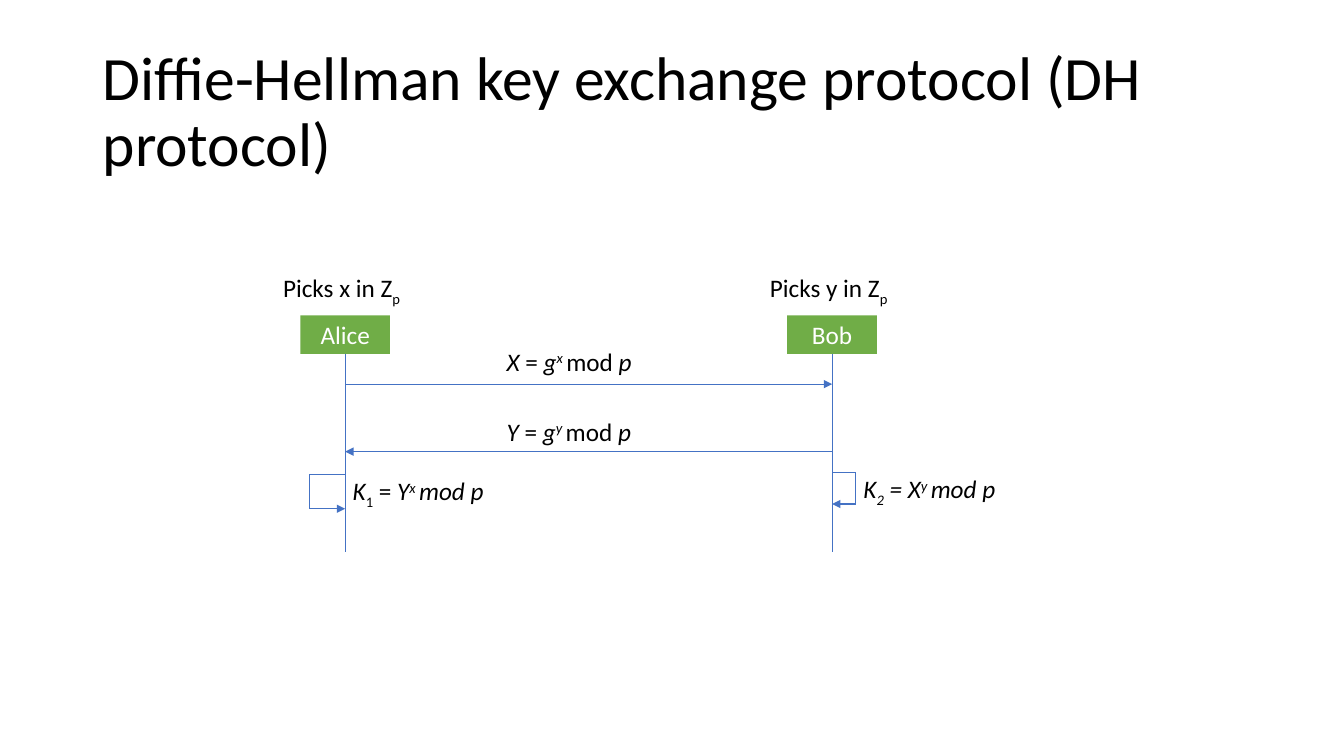
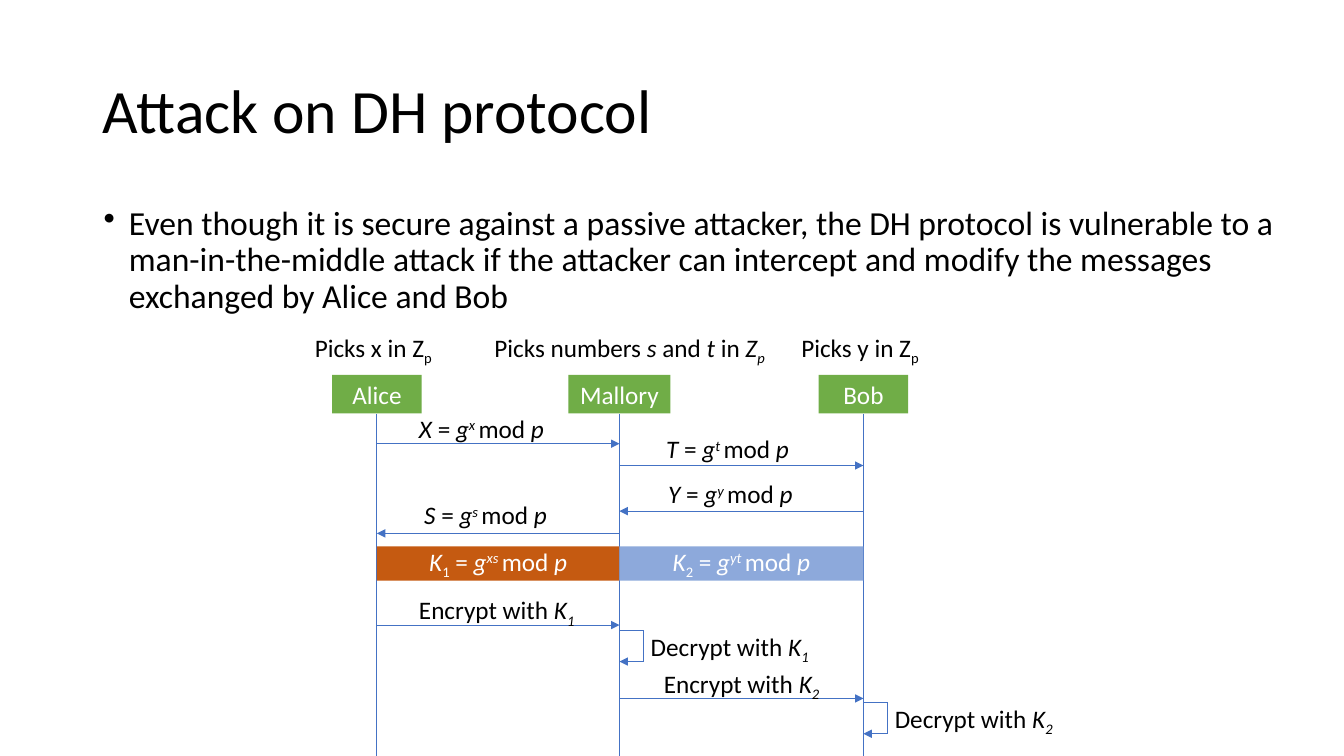
"""Build two slides on the Diffie-Hellman key exchange and an attack on it."""
from lxml import etree
from pptx import Presentation
from pptx.dml.color import RGBColor
from pptx.enum.shapes import MSO_CONNECTOR, MSO_SHAPE
from pptx.enum.text import MSO_ANCHOR, PP_ALIGN
from pptx.oxml.ns import qn
from pptx.util import Cm, Pt

STRAIGHT = MSO_CONNECTOR.STRAIGHT
RECTANGLE = MSO_SHAPE.RECTANGLE
MIDDLE, TOP = MSO_ANCHOR.MIDDLE, MSO_ANCHOR.TOP
LEFT, CENTER = PP_ALIGN.LEFT, PP_ALIGN.CENTER

BLACK = RGBColor(0x00, 0x00, 0x00)
WHITE = RGBColor(0xFF, 0xFF, 0xFF)
GREEN = RGBColor(0x70, 0xAD, 0x47)
BLUE = RGBColor(0x44, 0x72, 0xC4)
ORANGE = RGBColor(0xC5, 0x5A, 0x11)
LIGHT_BLUE = RGBColor(0x8D, 0xA9, 0xDB)

FONT = "Calibri"
SLIDE_WIDTH, SLIDE_HEIGHT = 33.87, 19.05
ACTOR_HEIGHT, KEY_HEIGHT, LABEL_HEIGHT = 0.97, 0.86, 1.02
PICK_WIDTH, FORMULA_WIDTH, ACTION_WIDTH = 3.63, 4.06, 4.6

PLAIN, ITALIC = (False, 0), (True, 0)
SUPER = (True, 30000)
SUB, ITALIC_SUB = (False, -25000), (True, -25000)


def power(base, exponent):
    """Return the runs of a power modulo p."""
    return [(base, ITALIC), (exponent + " ", SUPER), ("mod ", PLAIN), ("p", ITALIC)]


def public_value(name, exponent):
    """Return the runs of a public value formula."""
    return [(name + " ", ITALIC), ("= ", PLAIN), *power("g", exponent)]


def shared_key(index, exponent):
    """Return the runs of a shared key formula."""
    return [("K", ITALIC), (index, SUB), (" = ", PLAIN), *power("g", exponent)]


def pick(variable):
    """Return the runs that name a party's secret."""
    return [(f"Picks {variable} in Z", PLAIN), ("p", SUB)]


def cipher_step(action, index):
    """Return the runs of an encryption or decryption step."""
    return [(action + " with ", PLAIN), ("K", ITALIC), (index, ITALIC_SUB)]


def write(shape, runs, size=18, color=BLACK, align=LEFT, anchor=TOP):
    """Fill a shape with one styled paragraph and return it."""
    frame = shape.text_frame
    frame.word_wrap = True
    frame.vertical_anchor = anchor
    paragraph = frame.paragraphs[0]
    paragraph.alignment = align
    paragraph.font.name = FONT
    paragraph.font.size = Pt(size)
    paragraph.font.color.rgb = color
    for text, (italic, baseline) in runs:
        run = paragraph.add_run()
        run.text = text
        if italic:
            run.font.italic = True
        if baseline:
            run.font._element.set("baseline", str(baseline))
    return paragraph


def add_label(slide, left, top, width, runs, height=LABEL_HEIGHT, **style):
    """Add a text box and return its paragraph."""
    box = slide.shapes.add_textbox(Cm(left), Cm(top), Cm(width), Cm(height))
    return write(box, runs, **style)


def add_title(slide, text):
    """Add the slide title."""
    title = add_label(slide, 2.34, 1.02, 29.21, [(text, PLAIN)], height=3.68,
                      size=44, anchor=MIDDLE)
    title.line_spacing = 0.9


def add_bullet(slide, text):
    """Add the bulleted statement below the title."""
    statement = add_label(slide, 2.36, 5.08, 30.4, [(text, PLAIN)], height=3.58, size=24)
    statement.line_spacing = 0.9
    properties = statement._p.get_or_add_pPr()
    properties.set("marL", str(Cm(0.64)))
    properties.set("indent", str(-Cm(0.64)))
    bullet = etree.Element(qn("a:buChar"), char="•")
    properties.find(qn("a:defRPr")).addprevious(bullet)


def add_block(slide, left, top, width, height, fill, runs):
    """Add a filled rectangle with centred white text."""
    block = slide.shapes.add_shape(RECTANGLE, Cm(left), Cm(top), Cm(width), Cm(height))
    block.shadow.inherit = False
    block.fill.solid()
    block.fill.fore_color.rgb = fill
    block.line.fill.background()
    write(block, runs, color=WHITE, align=CENTER, anchor=MIDDLE)


def add_line(slide, start, end, arrow=False):
    """Add a straight line, with an arrowhead at its end if asked."""
    line = slide.shapes.add_connector(STRAIGHT, *(Cm(value) for value in (*start, *end)))
    line.line.color.rgb = BLUE
    line.line.width = Pt(0.75)
    if arrow:
        etree.SubElement(line.line._get_or_add_ln(), qn("a:tailEnd"), type="triangle")
    etree.SubElement(line._element.spPr, qn("a:effectLst"))


def add_actor(slide, name, center, top, bottom, secret, width=2.26,
              secret_width=PICK_WIDTH, secret_shift=0):
    """Add a party with its secret above and its lifeline below."""
    add_block(slide, center - width / 2, top, width, ACTOR_HEIGHT, GREEN, [(name, PLAIN)])
    add_label(slide, center - secret_width / 2 + secret_shift, top - 1.2, secret_width, secret)
    add_line(slide, (center, top + ACTOR_HEIGHT), (center, bottom))


def add_message(slide, sender, receiver, y, runs, label_left, label_top, width=FORMULA_WIDTH):
    """Add an arrow between two lifelines with its label."""
    add_line(slide, (sender, y), (receiver, y), arrow=True)
    add_label(slide, label_left, label_top, width, runs)


def add_self_step(slide, lifeline, top, runs, reach=0.6, height=0.79, width=ACTION_WIDTH):
    """Add a loop back to one lifeline with its label on the right."""
    far, bottom = lifeline + reach, top + height
    add_line(slide, (lifeline, top), (far, top))
    add_line(slide, (far, top), (far, bottom))
    add_line(slide, (far, bottom), (lifeline, bottom), arrow=True)
    add_label(slide, max(lifeline, far) - 0.06, top - 0.1, width, runs)


def build_exchange(slide):
    """Draw the key exchange between two honest parties."""
    alice, bob = 8.7, 20.97
    add_title(slide, "Diffie-Hellman key exchange protocol (DH protocol)")
    for name, center, variable in (("Alice", alice, "x"), ("Bob", bob, "y")):
        add_actor(slide, name, center, 7.95, 13.92, pick(variable))
    add_message(slide, alice, bob, 9.68, public_value("X", "x"), 12.52, 8.59)
    add_message(slide, bob, alice, 11.38, public_value("Y", "y"), 12.52, 10.36)
    alice_key = [("K", ITALIC), ("1", SUB), (" = ", PLAIN), ("Y", ITALIC),
                 ("x ", SUPER), ("mod p", ITALIC)]
    bob_key = [("K", ITALIC), ("2", ITALIC_SUB), (" = X", ITALIC),
               ("y ", SUPER), ("mod p", ITALIC)]
    add_self_step(slide, alice, 11.96, alice_key, reach=-0.9, height=0.86, width=FORMULA_WIDTH)
    add_self_step(slide, bob, 11.91, bob_key, width=FORMULA_WIDTH)


def build_attack(slide):
    """Draw the man-in-the-middle attack."""
    alice, mallory, bob = 9.5, 15.61, 21.76
    add_title(slide, "Attack on DH protocol")
    add_bullet(slide, "Even though it is secure against a passive attacker, the DH protocol is "
                      "vulnerable to a man-in-the-middle attack if the attacker can intercept "
                      "and modify the messages exchanged by Alice and Bob")
    mallory_secret = [("Picks numbers ", PLAIN), ("s ", ITALIC), ("and ", PLAIN), ("t ", ITALIC),
                      ("in ", PLAIN), ("Z", ITALIC), ("p", ITALIC_SUB)]
    head_top = 9.45
    add_actor(slide, "Alice", alice, head_top, SLIDE_HEIGHT, pick("x"))
    add_actor(slide, "Mallory", mallory, head_top, SLIDE_HEIGHT, mallory_secret,
              width=2.57, secret_width=7.5, secret_shift=0.35)
    add_actor(slide, "Bob", bob, head_top, SLIDE_HEIGHT, pick("y"))

    for sender, receiver, y, name, exponent, label_left, label_top in (
        (alice, mallory, 11.18, "X", "x", 10.31, 10.29),
        (mallory, bob, 11.73, "T", "t", 16.54, 10.8),
        (bob, mallory, 12.88, "Y", "y", 16.59, 11.94),
        (mallory, alice, 13.44, "S", "s", 10.44, 12.47),
    ):
        add_message(slide, sender, receiver, y, public_value(name, exponent),
                    label_left, label_top)

    for index, sender, receiver, fill, exponent, y, label_left, loop_top in (
        ("1", alice, mallory, ORANGE, "xs", 15.75, 10.31, 15.88),
        ("2", mallory, bob, LIGHT_BLUE, "yt", 17.6, 16.48, 17.7),
    ):
        add_block(slide, sender, 13.77, receiver - sender, KEY_HEIGHT, fill,
                  shared_key(index, exponent))
        add_message(slide, sender, receiver, y, cipher_step("Encrypt", index),
                    label_left, y - 0.89, width=ACTION_WIDTH)
        add_self_step(slide, receiver, loop_top, cipher_step("Decrypt", index))


def main():
    """Build and save the presentation."""
    deck = Presentation()
    deck.slide_width, deck.slide_height = Cm(SLIDE_WIDTH), Cm(SLIDE_HEIGHT)
    blank = deck.slide_layouts[6]
    for build in (build_exchange, build_attack):
        build(deck.slides.add_slide(blank))
    deck.save("out.pptx")


if __name__ == "__main__":
    main()
